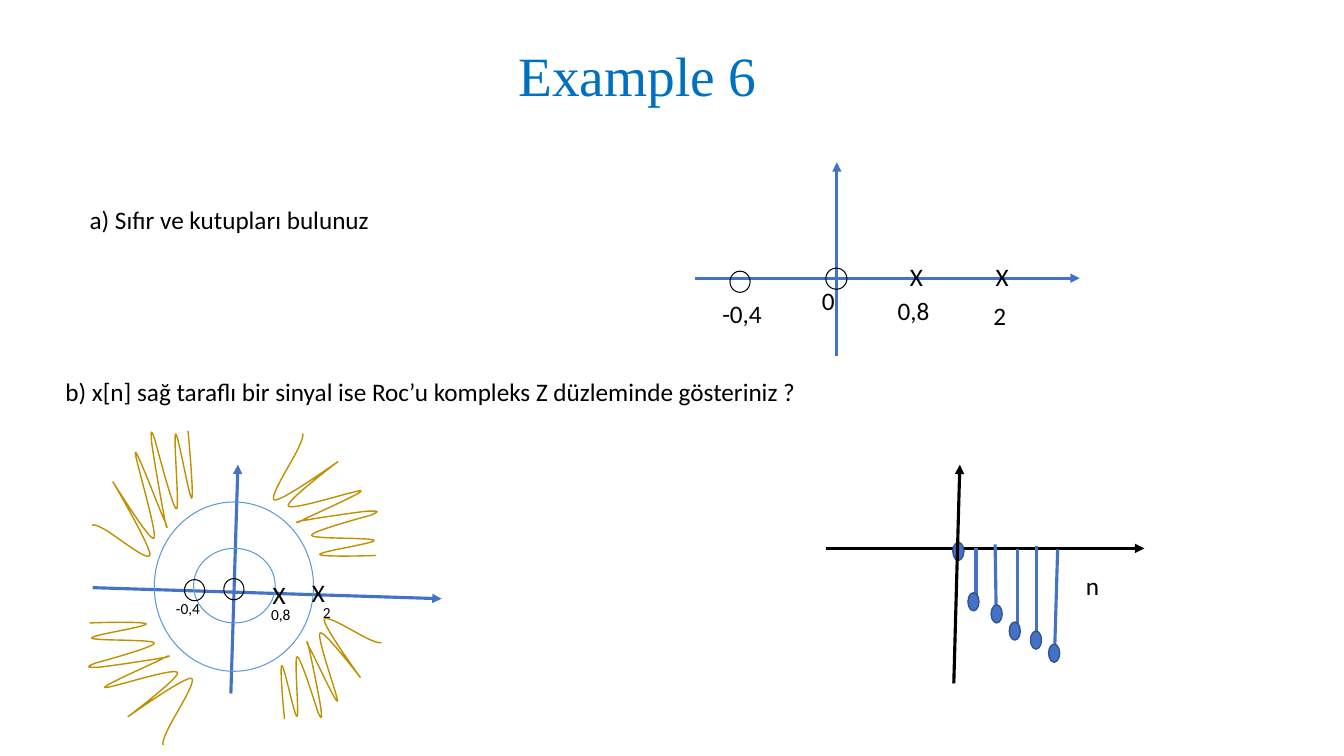
from dataclasses import dataclass

from lxml import etree
from pptx import Presentation
from pptx import util as u
from pptx.dml import color
from pptx.enum import shapes, text
from pptx.oxml import ns


@dataclass(frozen=True)
class Theme:
    black: str = "000000"
    title: str = "0070C0"
    axis: str = "4472C4"
    circle: str = "5B9BD5"
    dot_edge: str = "325491"
    region: str = "BF9000"
    body_font: str = "Calibri"
    title_font: str = "Times New Roman"
    title_size: float = 39.6
    body_size: float = 18
    small_size: float = 11
    axis_width: float = 2.25


theme = Theme()
rgb = color.RGBColor.from_string
presentation = Presentation()
presentation.slide_width = u.Inches(13.33)
presentation.slide_height = u.Inches(7.5)
slide = presentation.slides.add_slide(presentation.slide_layouts[6])


def add_text(content, box, size=theme.body_size, font=theme.body_font, ink=theme.black,
             align=text.PP_ALIGN.CENTER, anchor=text.MSO_ANCHOR.MIDDLE,
             wrap=False, indent=0.1, line_spacing=1.0, oval=False):
    place = tuple(map(u.Inches, box))
    if oval:
        shape = slide.shapes.add_shape(shapes.MSO_SHAPE.OVAL, *place)
        shape.shadow.inherit = False
        shape.fill.background()
        shape.line.fill.background()
    else:
        shape = slide.shapes.add_textbox(*place)
    frame = shape.text_frame
    frame.word_wrap = wrap
    frame.vertical_anchor = anchor
    frame.margin_left = u.Inches(indent)
    paragraph = frame.paragraphs[0]
    paragraph.alignment = align
    paragraph.line_spacing = line_spacing
    run = paragraph.add_run()
    run.text = content
    run.font.size = u.Pt(size)
    run.font.name = font
    run.font.color.rgb = rgb(ink)


def add_line(start, end, ink=theme.axis, arrow=False):
    connector = slide.shapes.add_connector(
        shapes.MSO_CONNECTOR.STRAIGHT, *map(u.Inches, (*start, *end)))
    connector.line.color.rgb = rgb(ink)
    connector.line.width = u.Pt(theme.axis_width)
    if arrow:
        line = connector.line._get_or_add_ln()
        etree.SubElement(line, ns.qn("a:tailEnd"), type="triangle")
    etree.SubElement(connector._element.spPr, ns.qn("a:effectLst"))


add_text("Example 6", (0.92, 0.4, 11.5, 0.76), size=theme.title_size,
         font=theme.title_font, ink=theme.title, align=text.PP_ALIGN.LEFT,
         wrap=True, indent=4.22, line_spacing=0.9)

for start, end, ink in [
    ((6.89, 2.76), (10.71, 2.76), theme.axis),
    ((8.3, 3.53), (8.3, 1.61), theme.axis),
    ((0.92, 5.83), (4.38, 5.94), theme.axis),
    ((2.29, 6.88), (2.36, 4.61), theme.axis),
    ((8.19, 5.44), (11.35, 5.44), theme.black),
]:
    add_line(start, end, ink, arrow=True)

for start, end in [
    ((9.68, 5.94), (9.68, 5.44)),
    ((9.88, 6.05), (9.87, 5.4)),
    ((10.09, 6.23), (10.09, 5.45)),
    ((10.28, 6.38), (10.28, 5.42)),
    ((10.46, 6.47), (10.49, 5.45)),
]:
    add_line(start, end)

unit_circles = [(1.92, 5.44, 0.81, 0.74), (1.53, 4.98, 1.58, 1.68)]
zero_markers = [(8.19, 2.66, 0.21, 0.21), (7.24, 2.69, 0.2, 0.21),
                (1.83, 5.75, 0.2, 0.21), (2.22, 5.74, 0.2, 0.21)]
samples = [(left, top, 0.11, 0.18) for left, top in [
    (9.45, 5.38), (9.6, 5.88), (9.83, 6), (10.01, 6.17), (10.22, 6.26), (10.4, 6.39)]]
for boxes, preset, fill, edge, width in [
    (unit_circles, shapes.MSO_SHAPE.OVAL, None, theme.circle, 0.75),
    (zero_markers, shapes.MSO_SHAPE.OVAL, None, theme.black, 0.75),
    (samples, shapes.MSO_SHAPE.FLOWCHART_CONNECTOR, theme.axis, theme.dot_edge, 1),
]:
    for box in boxes:
        shape = slide.shapes.add_shape(preset, *map(u.Inches, box))
        shape.shadow.inherit = False
        if fill:
            shape.fill.solid()
            shape.fill.fore_color.rgb = rgb(fill)
        else:
            shape.fill.background()
        shape.line.color.rgb = rgb(edge)
        shape.line.width = u.Pt(width)

add_line((9.46, 6.78), (9.52, 4.61), theme.black, arrow=True)

squiggle_box = (0.88, 6.17, 1.03, 1.22)
squiggle_start = (0.89, 6.18)
squiggle_curves = [
    ((1.16, 6.17), (1.44, 6.17), (1.45, 6.19)),
    ((1.45, 6.22), (0.9, 6.3), (0.91, 6.33)),
    ((0.93, 6.36), (1.53, 6.34), (1.53, 6.38)),
    ((1.54, 6.42), (0.94, 6.58), (0.94, 6.58)),
    ((0.85, 6.62), (0.86, 6.62), (0.97, 6.62)),
    ((1.08, 6.61), (1.48, 6.55), (1.59, 6.53)),
    ((1.7, 6.52), (1.71, 6.48), (1.62, 6.53)),
    ((1.53, 6.58), (1.02, 6.8), (1.04, 6.82)),
    ((1.06, 6.84), (1.72, 6.62), (1.76, 6.67)),
    ((1.8, 6.71), (1.27, 7.11), (1.27, 7.11)),
    ((1.37, 7.04), (1.84, 6.71), (1.9, 6.73)),
    ((1.96, 6.76), (1.69, 7.16), (1.65, 7.27)),
    ((1.6, 7.38), (1.62, 7.39), (1.62, 7.39)),
]
origin_x, origin_y, squiggle_width, squiggle_height = squiggle_box

for box, rotation in [
    (squiggle_box, 0),
    ((2.8, 6.11, 0.98, 1.02), 266.1),
    ((0.79, 4.4, 1.23, 1.02), 86.1),
    ((2.71, 4.3, 1.03, 1.22), 180),
]:
    builder = slide.shapes.build_freeform(*map(u.Inches, squiggle_start))
    builder.add_line_segments(
        [tuple(map(u.Inches, curve[-1])) for curve in squiggle_curves], close=False)
    shape = builder.convert_to_shape()
    outline = next(shape._element.iter(ns.qn("a:path")))
    outline.set("w", str(u.Inches(squiggle_width)))
    outline.set("h", str(u.Inches(squiggle_height)))
    for segment in list(outline):
        outline.remove(segment)
    for tag, points in [("a:moveTo", [squiggle_start])] + [
            ("a:cubicBezTo", curve) for curve in squiggle_curves]:
        segment = etree.SubElement(outline, ns.qn(tag))
        for x, y in points:
            etree.SubElement(segment, ns.qn("a:pt"),
                             x=str(u.Inches(x - origin_x)), y=str(u.Inches(y - origin_y)))
    shape.left, shape.top, shape.width, shape.height = map(u.Inches, box)
    shape.rotation = rotation
    shape.shadow.inherit = False
    shape.fill.background()
    shape.line.color.rgb = rgb(theme.region)
    shape.line.width = u.Pt(1)

for content, box in [
    ("a) Sıfır ve kutupları bulunuz", (0.79, 1.98, 3.41, 0.4)),
    ("b) x[n] sağ taraflı bir sinyal ise Roc’u kompleks Z düzleminde gösteriniz ?",
     (0.55, 3.68, 7.66, 0.4)),
]:
    add_text(content, box, align=text.PP_ALIGN.LEFT, anchor=text.MSO_ANCHOR.TOP, wrap=True)

for content, box in [
    ("-0,4", (6.89, 2.93, 0.94, 0.35)),
    ("0", (8.01, 2.83, 0.3, 0.3)),
    ("X", (8.87, 2.59, 0.38, 0.3)),
    ("X", (9.72, 2.59, 0.38, 0.3)),
    ("X", (2.55, 5.7, 0.38, 0.4)),
    ("X", (2.94, 5.73, 0.38, 0.3)),
]:
    add_text(content, box, wrap=True, oval=True)

for content, box in [("0,8", (8.8, 2.88, 0.52, 0.71)), ("2", (9.75, 2.93, 0.33, 0.71))]:
    add_text(content, box, anchor=text.MSO_ANCHOR.TOP)

add_text("n", (10.59, 5.58, 0.49, 0.46), wrap=True)
add_text("-0,4", (1.45, 5.82, 0.83, 0.42), size=theme.small_size, wrap=True)
add_text("0,8", (2.59, 5.95, 0.4, 0.29), size=theme.small_size,
         align=text.PP_ALIGN.LEFT, anchor=text.MSO_ANCHOR.TOP)
add_text("2", (3.1, 5.93, 0.28, 0.59), size=theme.small_size, anchor=text.MSO_ANCHOR.TOP)

presentation.save("out.pptx")
